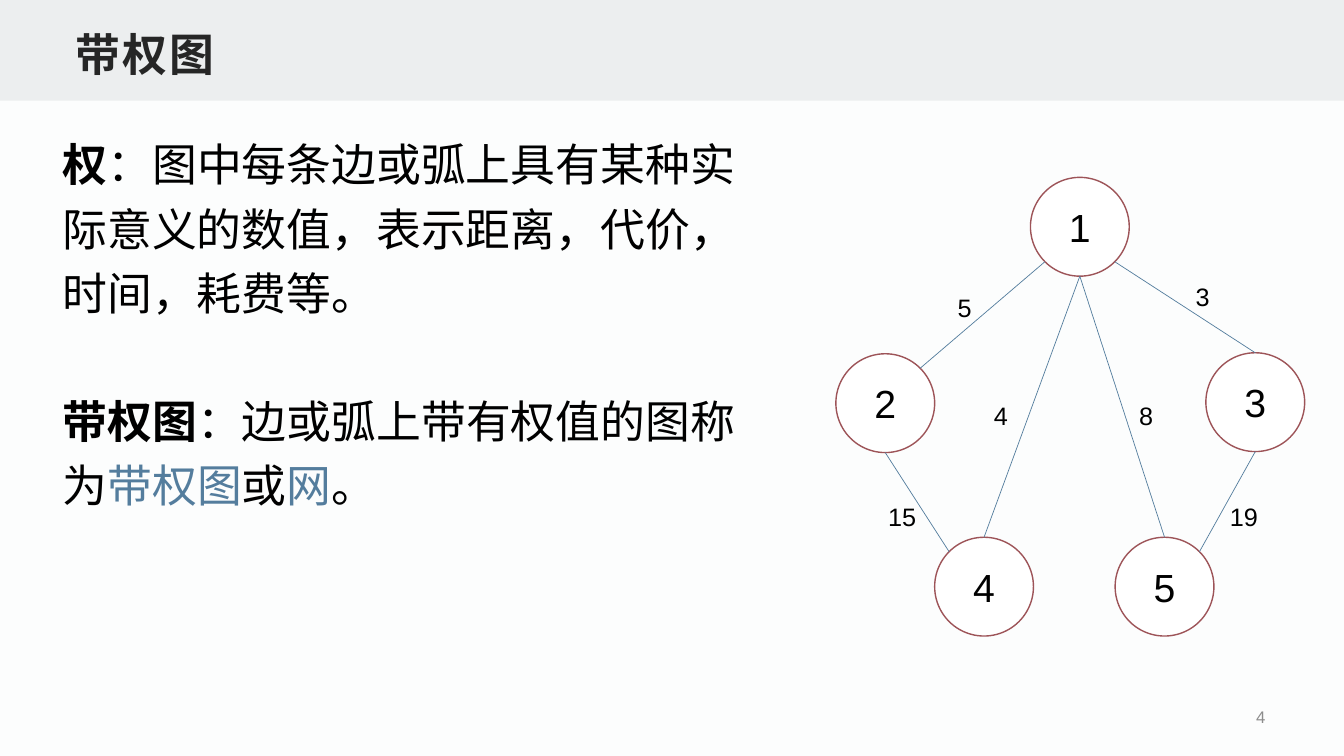
"""Build the slide that explains weighted graphs."""
from math import cos, radians, sin

from lxml.etree import SubElement
from pptx import Presentation
from pptx.dml.color import RGBColor
from pptx.enum.shapes import MSO_CONNECTOR as Connector, MSO_SHAPE as Shape
from pptx.enum.text import MSO_ANCHOR as Anchor, MSO_AUTO_SIZE as AutoSize, PP_ALIGN as Align
from pptx.oxml.ns import qn
from pptx.util import Inches, Pt

BLUE, RED, BLACK = "547D9D", "9D5458", "000000"
DIAMETER = 0.98


def color(value):
    return RGBColor.from_string(value)


def style(span, size, value=BLACK, bold=False):
    span.font.name = "Arial"
    span.font.size = Pt(size)
    span.font.bold = bold
    span.font.color.rgb = color(value)


deck = Presentation()
deck.slide_width, deck.slide_height = Inches(13.33), Inches(7.5)
page = deck.slides.add_slide(deck.slide_layouts[1])
page.background.fill.solid()
page.background.fill.fore_color.rgb = color("FCFDFD")

title = page.shapes.title
band = page.shapes.add_shape(Shape.RECTANGLE, 0, 0, deck.slide_width, Inches(1))
band.shadow.inherit = False
band.fill.solid()
band.fill.fore_color.rgb = color("ECEEEF")
band.line.fill.background()
title.element.addprevious(band.element)

title.left, title.top, title.width, title.height = map(Inches, (0.67, 0.17, 12, 0.67))
frame = title.text_frame
frame.text = "带权图"
frame.vertical_anchor = Anchor.BOTTOM
frame.auto_size = AutoSize.NONE
frame.margin_left = frame.margin_right = Inches(0.08)
frame.margin_top = frame.margin_bottom = Inches(0.04)
para = frame.paragraphs[0]
para.alignment = Align.LEFT
style(para.runs[0], 32, "262626", True)
para.runs[0].font._element.set("spc", "150")

body = page.placeholders[1]
body.left, body.top, body.width, body.height = map(Inches, (0.52, 1.2, 6.88, 3.98))
frame = body.text_frame
frame.auto_size = AutoSize.NONE
definitions = [
    [("权", BLACK, True),
     ("：图中每条边或弧上具有某种实际意义的数值，表示距离，代价，时间，耗费等。", BLACK, False)],
    [("带权图", BLACK, True), ("：边或弧上带有权值的图称为", BLACK, False),
     ("带权图", BLUE, False), ("或", BLACK, False), ("网", BLUE, False), ("。", BLACK, False)],
]
for index, definition in enumerate(definitions):
    para = frame.add_paragraph() if index else frame.paragraphs[0]
    para.line_spacing = 1.2
    para.space_before = Pt(45 * index)
    settings = para._p.get_or_add_pPr()
    settings.set("marL", "0")
    settings.set("indent", "0")
    SubElement(settings, qn("a:buNone"))
    for text, value, bold in definition:
        span = para.add_run()
        span.text = text
        style(span, 32, value, bold)

corners = {"1": (10.22, 1.76), "2": (8.29, 3.51), "3": (11.96, 3.5),
           "4": (9.27, 5.33), "5": (11.06, 5.33)}
nodes = {}
for name, (left, top) in corners.items():
    node = page.shapes.add_shape(Shape.OVAL, Inches(left), Inches(top),
                                 Inches(DIAMETER), Inches(DIAMETER))
    node.shadow.inherit = False
    node.fill.solid()
    node.fill.fore_color.rgb = color("FFFFFF")
    node.line.color.rgb = color(RED)
    node.line.width = Pt(1)
    node.text_frame.text = name
    node.text_frame.vertical_anchor = Anchor.MIDDLE
    node.text_frame.paragraphs[0].alignment = Align.CENTER
    style(node.text_frame.paragraphs[0].runs[0], 28)
    nodes[name] = node

edges = [("1", 225, "2", 45), ("1", 270, "5", 90), ("1", 315, "3", 90),
         ("1", 270, "4", 90), ("3", 270, "5", 45), ("2", 270, "4", 135)]
for start, start_angle, end, end_angle in edges:
    points = []
    for name, angle in ((start, start_angle), (end, end_angle)):
        left, top = corners[name]
        points += [Inches(left + DIAMETER / 2 * (1 + cos(radians(angle)))),
                   Inches(top + DIAMETER / 2 * (1 - sin(radians(angle))))]
    edge = page.shapes.add_connector(Connector.STRAIGHT, *points)
    edge.line.color.rgb = color(BLUE)
    edge.line.width = Pt(0.5)
    SubElement(edge.element.spPr, qn("a:effectLst"))
    if end_angle == 90:
        edge.end_connect(nodes[end], 0)

weights = [("5", 9.4, 2.85), ("3", 11.76, 2.74), ("4", 9.76, 3.92),
           ("8", 11.2, 3.92), ("15", 8.71, 4.92), ("19", 12.1, 4.92)]
for weight, left, top in weights:
    box = page.shapes.add_textbox(Inches(left), Inches(top), Inches(0.69), Inches(0.4))
    box.text_frame.word_wrap = True
    box.text_frame.text = weight
    style(box.text_frame.paragraphs[0].runs[0], 18)

number = page.shapes.add_textbox(Inches(9.7), Inches(6.94), Inches(2.95), Inches(0.35))
number.text_frame.word_wrap = True
number.text_frame.text = "4"
number.text_frame.vertical_anchor = Anchor.MIDDLE
number.text_frame.paragraphs[0].alignment = Align.RIGHT
style(number.text_frame.paragraphs[0].runs[0], 12, "8C8C8C")

deck.save("out.pptx")
